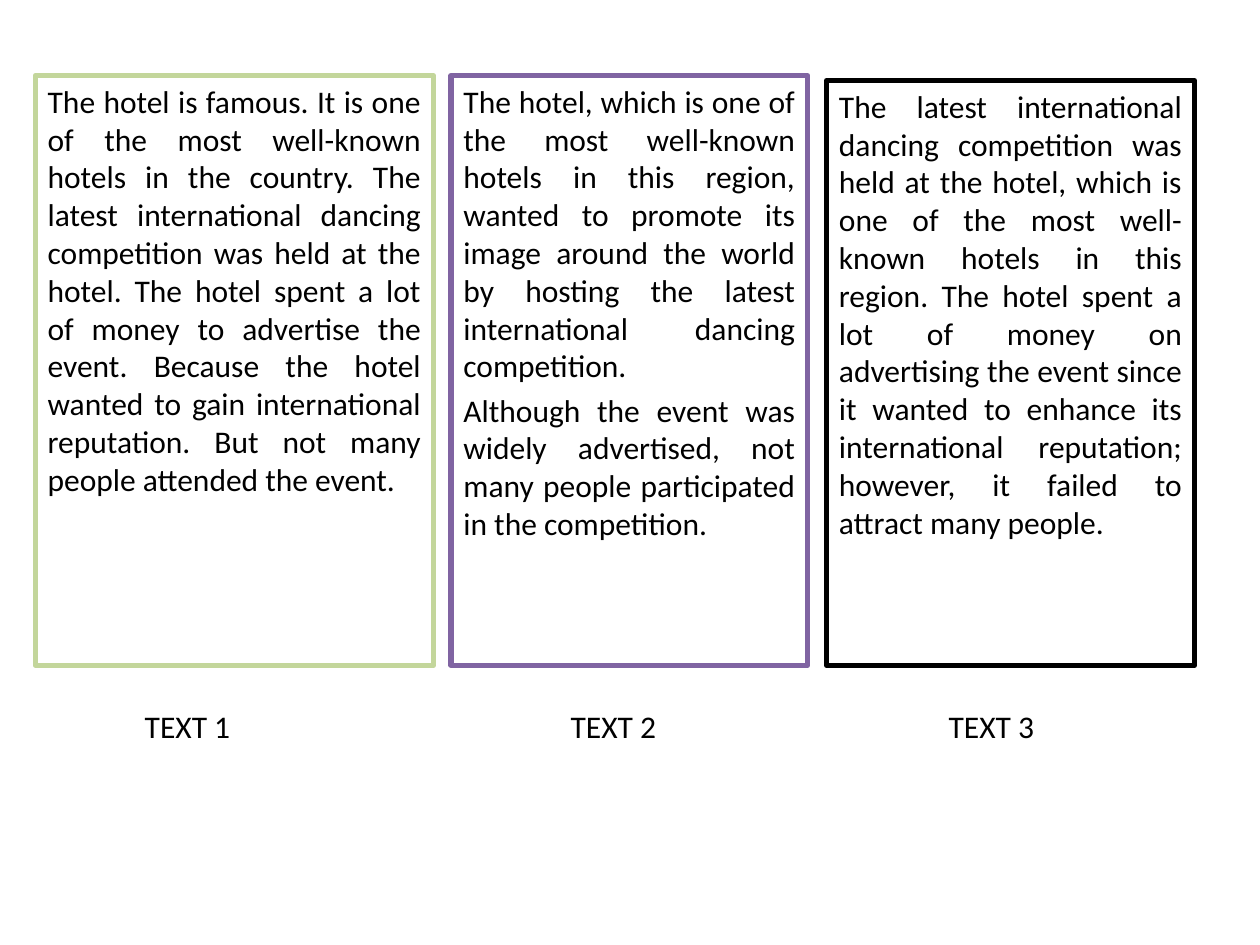
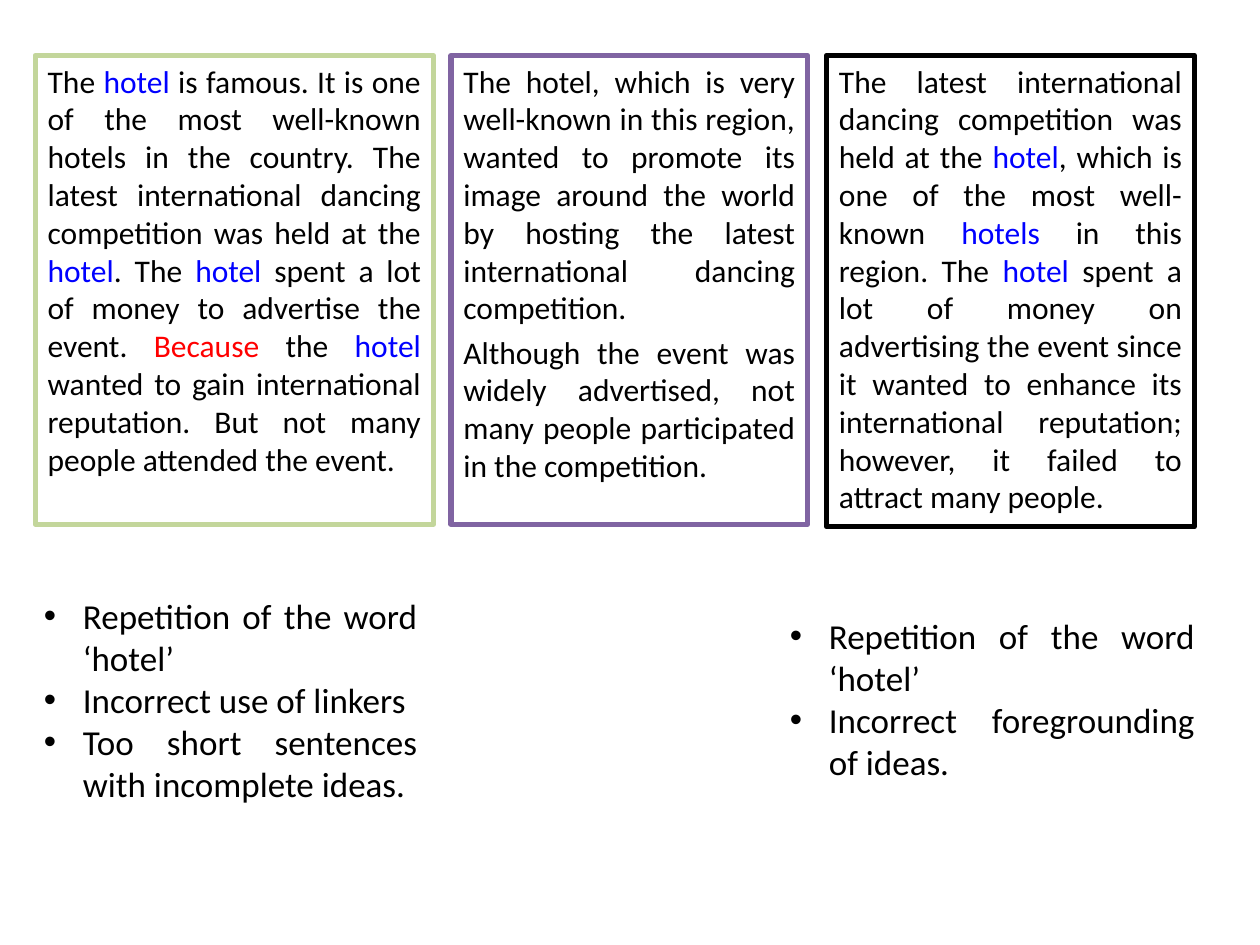
import pptx
import pptx.dml.color
import pptx.enum.shapes
import pptx.enum.text
import pptx.oxml
import pptx.oxml.ns
import pptx.util

Inches = pptx.util.Inches
Pt = pptx.util.Pt
JUSTIFY = pptx.enum.text.PP_ALIGN.JUSTIFY

FONT = "Calibri"
BLACK, WHITE = "000000", "FFFFFF"
COLUMNS = [(0.28, 3.16, "C3D69B"), (3.58, 2.83, "8064A2"), (6.56, 2.92, BLACK)]
HIGHLIGHTS = {"hotel": "0000FF", "hotels": "0000FF", "Because": "FF0000"}

TEXT_1 = [
    "The |hotel| is famous. It is one of the most well-known hotels in the country. "
    "The latest international dancing competition was held at the |hotel|. The |hotel| "
    "spent a lot of money to advertise the event. |Because| the |hotel| wanted to gain "
    "international reputation. But not many people attended the event."
]
TEXT_2 = [
    "The hotel, which is {}in this region, wanted to promote its image around the "
    "world by hosting the latest international dancing competition.",
    "Although the event was widely advertised, not many people participated in the "
    "competition.",
]
TEXT_3 = [
    "The latest international dancing competition was held at the |hotel|, which is one "
    "of the most well-known |hotels| in this region. The |hotel| spent a lot of money on "
    "advertising the event since it wanted to enhance its international reputation; "
    "however, it failed to attract many people."
]
REPETITION = "Repetition of the word ‘hotel’"


def rgb(value):
    """Turn a hex string into a colour."""
    return pptx.dml.color.RGBColor.from_string(value)


def set_attributes(obj, values):
    """Set each attribute of an object from a dict."""
    for name, value in values.items():
        setattr(obj, name, value)


def add_run(p, text, size, color=BLACK):
    """Append one formatted run to a paragraph."""
    r = p.add_run()
    r.text = text
    set_attributes(r.font, {"name": FONT, "size": Pt(size)})
    r.font.color.rgb = rgb(color)


def add_property(p, xml):
    """Append an XML element to the paragraph properties."""
    ns = pptx.oxml.ns.nsdecls("a")
    p._p.get_or_add_pPr().append(pptx.oxml.parse_xml(xml.format(ns=ns)))


def paragraphs(tf, texts):
    """Yield a paragraph of the frame for each text."""
    for i, text in enumerate(texts):
        yield (tf.add_paragraph() if i else tf.paragraphs[0]), text


def add_text_box(slide, left, top, width, height):
    """Add a wrapping text box and return its frame."""
    tf = slide.shapes.add_textbox(*map(Inches, (left, top, width, height))).text_frame
    tf.word_wrap = True
    return tf


def add_passage(slide, column, top, height, texts, highlight):
    """Add a framed passage in which marked words may be coloured."""
    left, width, border = column
    sp = slide.shapes.add_shape(
        pptx.enum.shapes.MSO_SHAPE.RECTANGLE,
        *map(Inches, (left, top, width, height)),
    )
    sp.shadow.inherit = False
    sp.fill.solid()
    sp.fill.fore_color.rgb = rgb(WHITE)
    sp.line.color.rgb = rgb(border)
    sp.line.width = Pt(3)
    tf = sp.text_frame
    set_attributes(tf, {"word_wrap": True,
                        "vertical_anchor": pptx.enum.text.MSO_ANCHOR.TOP})
    for p, text in paragraphs(tf, texts):
        set_attributes(p, {"alignment": JUSTIFY,
                           "space_before": Pt(0 if text == texts[0] else 3.6)})
        if not highlight:
            text = text.replace("|", "")
        for part in text.split("|"):
            add_run(p, part, 18, HIGHLIGHTS.get(part, BLACK))


def add_passages(slide, tops, bottoms, description, highlight=False):
    """Add the three versions of the hotel passage side by side."""
    text_2 = [text.format(description) for text in TEXT_2]
    versions = (TEXT_1, text_2, TEXT_3)
    for column, top, bottom, texts in zip(COLUMNS, tops, bottoms, versions):
        add_passage(slide, column, top, bottom - top, texts, highlight)


def add_labels(slide, labels, stops):
    """Add a line of labels, each at its own tab stop."""
    p = add_text_box(slide, 0.43, 5.56, 8.98, 0.4).paragraphs[0]
    tabs = "".join(f'<a:tab pos="{Inches(stop)}" algn="l"/>' for stop in stops)
    add_property(p, "<a:tabLst {ns}>" + tabs + "</a:tabLst>")
    add_run(p, "".join("\t" + label for label in labels), 18)


def add_bullets(slide, left, top, width, height, items):
    """Add a justified bullet list."""
    tf = add_text_box(slide, left, top, width, height)
    for p, item in paragraphs(tf, items):
        pPr = p._p.get_or_add_pPr()
        pPr.set("marL", str(Inches(0.31)))
        pPr.set("indent", str(-Inches(0.31)))
        add_property(p, '<a:buFont {ns} typeface="Arial"/>')
        add_property(p, '<a:buChar {ns} char="•"/>')
        p.alignment = JUSTIFY
        add_run(p, item, 20)


def main():
    """Build and save both slides."""
    prs = pptx.Presentation()
    set_attributes(prs, {"slide_width": Inches(10), "slide_height": Inches(7.5)})
    blank = prs.slide_layouts[6]

    slide = prs.slides.add_slide(blank)
    add_passages(slide, (0.6, 0.6, 0.64), (5.28, 5.28, 5.28),
                 "one of the most well-known hotels ")
    add_labels(slide, ("TEXT 1", "TEXT 2", "TEXT 3"), (0.62, 4, 7))

    slide = prs.slides.add_slide(blank)
    add_passages(slide, (0.44, 0.44, 0.44), (4.16, 4.16, 4.18),
                 "very well-known ", highlight=True)
    add_bullets(slide, 0.25, 4.67, 3.16, 1.78, [
        REPETITION,
        "Incorrect use of linkers",
        "Too short sentences with incomplete ideas.",
    ])
    add_bullets(slide, 6.17, 4.83, 3.41, 1.45, [
        REPETITION,
        "Incorrect foregrounding of ideas.",
    ])
    prs.save("out.pptx")


if __name__ == "__main__":
    main()
